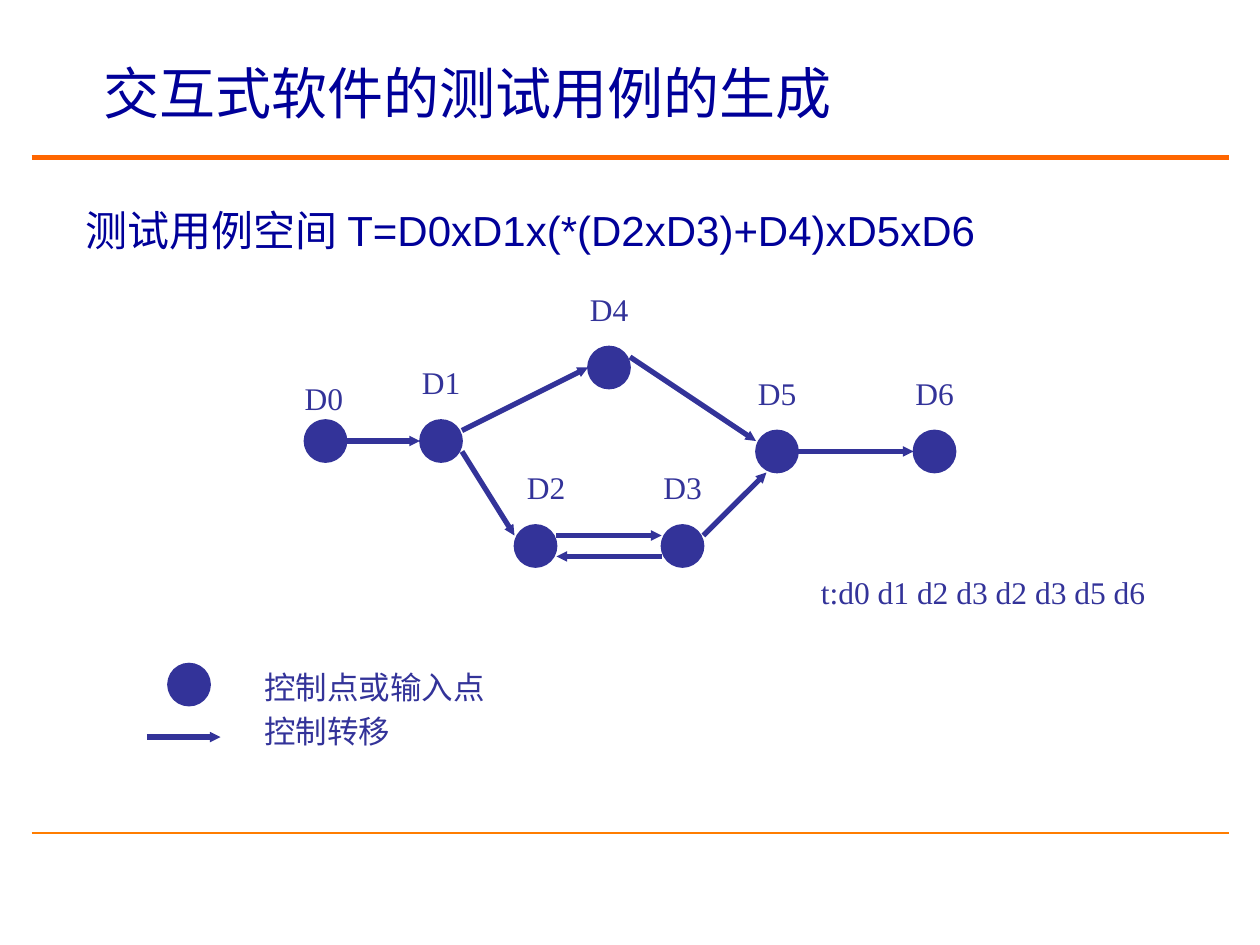
from lxml.etree import SubElement
from pptx import Presentation
from pptx.dml.color import RGBColor
from pptx.enum.shapes import MSO_CONNECTOR as Link, MSO_SHAPE as Form
from pptx.enum.text import MSO_ANCHOR as Anchor, MSO_AUTO_SIZE as Fit
from pptx.oxml.ns import qn
from pptx.util import Inches, Pt

COLS, ROWS = 120, 90
NAVY, INK = "000099", "333399"
DOT = 4

# name: column, row of the dot, then the label's shift from it
NODES = {
    "D0": (29, 40, -1.16, -4.5),
    "D1": (40, 40, -1, -6),
    "D2": (49, 50, 0, -6),
    "D3": (63, 50, -1, -6),
    "D4": (56, 33, -1, -6),
    "D5": (72, 41, -1, -6),
    "D6": (87, 41, -1, -6),
}
# start node, its port, end node, its port; ports are shifts within a dot
EDGES = [
    ("D0", (4, 2), "D1", (0, 2)),
    ("D1", (4, 1), "D4", (0, 2)),
    ("D1", (4, 3), "D2", (0, 1)),
    ("D4", (4, 1), "D5", (0, 1)),
    ("D2", (4, 1), "D3", (0, 1)),
    ("D3", (0, 3), "D2", (4, 3)),
    ("D3", (4, 1), "D5", (1, 4)),
    ("D5", (4, 2), "D6", (0, 2)),
]


def paint(code):
    return RGBColor.from_string(code)


class Board:
    """Draws on one slide, with lengths in grid columns and rows."""

    def __init__(self, deck):
        self.slide = deck.slides.add_slide(deck.slide_layouts[6])
        self.shapes = self.slide.shapes
        self.col = deck.slide_width / COLS
        self.row = deck.slide_height / ROWS

    def spot(self, x, y):
        return round(x * self.col), round(y * self.row)

    def text(self, words, x, y, w, h=4.8, size=18, font="Times New Roman",
             hue=INK, lead=None, wrap=False, anchor=Anchor.TOP):
        box = self.shapes.add_textbox(*self.spot(x, y), *self.spot(w, h))
        frame = box.text_frame
        frame.word_wrap = wrap
        frame.auto_size = Fit.NONE if wrap else Fit.SHAPE_TO_FIT_TEXT
        frame.vertical_anchor = anchor
        para = frame.paragraphs[0]
        if lead:
            para.line_spacing = Pt(lead)
        run = para.add_run()
        run.text = words
        run.font.name, run.font.size = font, Pt(size)
        run.font.color.rgb = paint(hue)

    def dot(self, x, y):
        shape = self.shapes.add_shape(
            Form.OVAL, *self.spot(x, y), *self.spot(DOT, DOT))
        shape.shadow.inherit = False
        shape.fill.solid()
        shape.fill.fore_color.rgb = paint(INK)
        shape.line.color.rgb = paint(INK)
        shape.line.width = Pt(1)

    def line(self, start, end, hue=INK, width=3):
        link = self.shapes.add_connector(
            Link.STRAIGHT, *self.spot(*start), *self.spot(*end))
        link.line.color.rgb = paint(hue)
        link.line.width = Pt(width)
        SubElement(link._element.spPr, qn("a:effectLst"))
        return link

    def arrow(self, start, end):
        pen = self.line(start, end).line._get_or_add_ln()
        SubElement(pen, qn("a:tailEnd"), type="triangle", w="sm", len="sm")


def port(name, shift):
    x, y = NODES[name][:2]
    return x + shift[0], y + shift[1]


def main():
    deck = Presentation()
    deck.slide_width, deck.slide_height = Inches(10), Inches(7.5)
    board = Board(deck)

    board.line((3, 79.3), (117, 79.3), "FF7D00", 1)
    board.line((3, 15), (117, 15), "FF6600", 3)
    head = dict(font="Arial", hue=NAVY, wrap=True)
    board.text("交互式软件的测试用例的生成", 8.64, 3, 106, 11,
               size=32, lead=42, anchor=Anchor.MIDDLE, **head)
    board.text("测试用例空间 T=D0xD1x(*(D2xD3)+D4)xD5xD6", 7, 18, 109, 56,
               size=24, lead=34, **head)

    for name, (x, y, dx, dy) in NODES.items():
        board.dot(x, y)
        board.text(name, x + dx, y + dy, 6.12)
    for tail, out, tip, into in EDGES:
        board.arrow(port(tail, out), port(tip, into))
    board.text("t:d0 d1 d2 d3 d2 d3 d5 d6", 77, 54, 33.36)

    board.dot(16, 63.2)
    board.text("控制点或输入点", 24, 63, 23.4)
    board.arrow((14, 70.2), (21, 70.2))
    board.text("控制转移", 24, 67.2, 14.4)

    deck.save("out.pptx")


if __name__ == "__main__":
    main()
